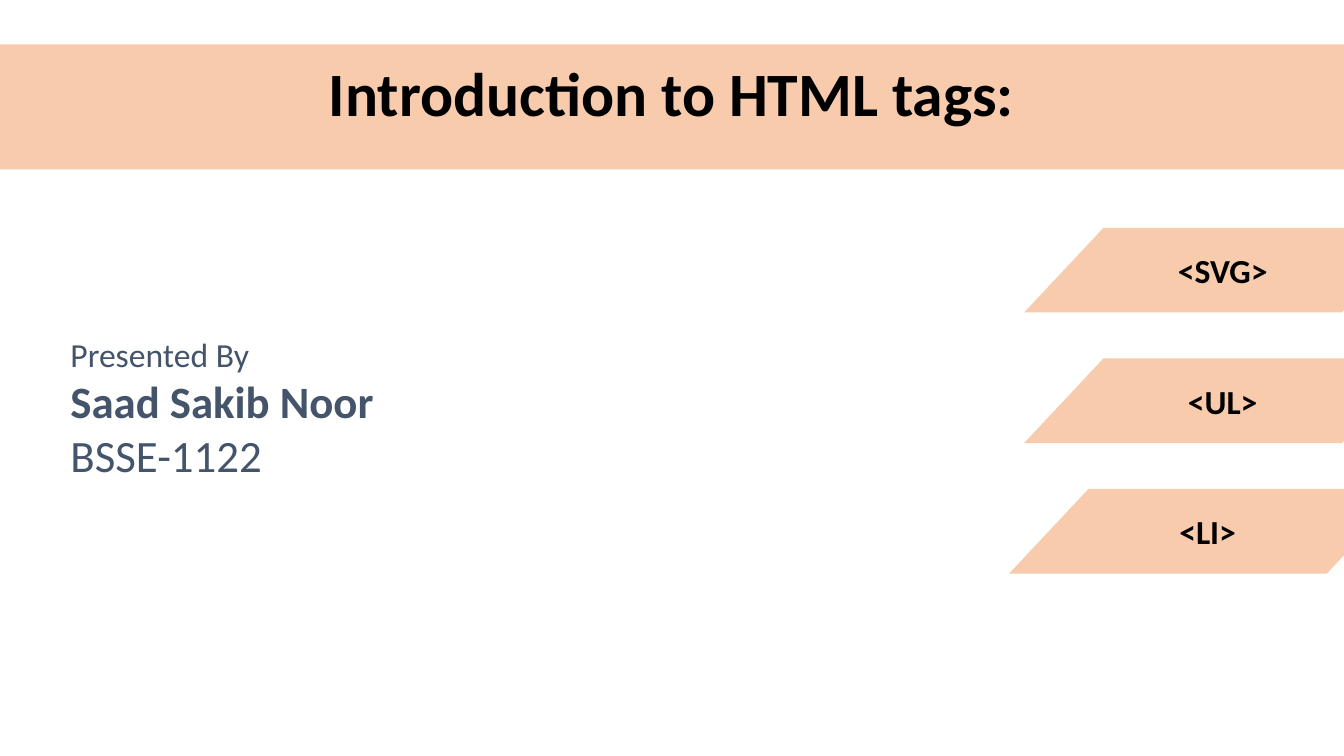
from dataclasses import dataclass

from pptx import Presentation
from pptx.dml.color import RGBColor
from pptx.enum.shapes import MSO_SHAPE
from pptx.enum.text import MSO_ANCHOR, MSO_AUTO_SIZE, PP_ALIGN
from pptx.shapes.autoshape import Shape
from pptx.slide import Slide
from pptx.util import Inches, Pt


@dataclass(frozen=True)
class Theme:
    """Colours, font and type sizes."""
    peach: RGBColor = RGBColor(0xF8, 0xCB, 0xAD)
    black: RGBColor = RGBColor(0, 0, 0)
    slate: RGBColor = RGBColor(0x44, 0x54, 0x6A)
    font: str = "Calibri"
    title: int = 44
    name: int = 32
    label: int = 24


@dataclass(frozen=True)
class Box:
    """A rectangle in percent of the slide's width and height."""
    left: float
    top: float
    width: float
    height: float

    def emu(self) -> tuple[int, int, int, int]:
        """Return left, top, width and height in EMU."""
        return (int(self.left * SLIDE_W / 100), int(self.top * SLIDE_H / 100),
                int(self.width * SLIDE_W / 100), int(self.height * SLIDE_H / 100))


@dataclass(frozen=True)
class Line:
    """One paragraph of text."""
    text: str
    size: int
    color: RGBColor
    bold: bool = False
    align: PP_ALIGN = PP_ALIGN.LEFT


@dataclass(frozen=True)
class Tag:
    """An HTML tag label and the left edge of its parallelogram."""
    text: str
    left: float


THEME = Theme()
SLIDE_W, SLIDE_H = Inches(13.33), Inches(7.5)
TAG_TOP, TAG_PITCH, TAG_W, TAG_H = 30.13, 17.27, 29.55, 11.2
TAGS = [Tag("<SVG>", 76.2), Tag("<UL>", 76.2), Tag("<LI>", 75.08)]
BAND = Box(0, 5.87, 100, 16.53)
PRESENTER_BOX = Box(4.5, 43.47, 27.67, 21.07)
PRESENTER = [
    Line("Presented By", THEME.label, THEME.slate),
    Line("Saad Sakib Noor", THEME.name, THEME.slate, bold=True),
    Line("BSSE-1122", THEME.name, THEME.slate),
]


def write_lines(s: Shape, lines: list[Line]) -> None:
    """Fill a shape with one paragraph per line."""
    tf = s.text_frame
    tf.word_wrap = True
    for i, line in enumerate(lines):
        p = tf.add_paragraph() if i else tf.paragraphs[0]
        p.text, p.alignment = line.text, line.align
        p.font.name, p.font.size, p.font.bold = THEME.font, Pt(line.size), line.bold
        p.font.color.rgb = line.color


def add_panel(slide: Slide, kind: MSO_SHAPE, box: Box, text: str, size: int) -> Shape:
    """Add a peach shape with a bold centred label."""
    s = slide.shapes.add_shape(kind, *box.emu())
    s.shadow.inherit = False
    s.fill.solid()
    s.fill.fore_color.rgb = THEME.peach
    s.line.fill.background()
    s.text_frame.vertical_anchor = MSO_ANCHOR.MIDDLE
    write_lines(s, [Line(text, size, THEME.black, True, PP_ALIGN.CENTER)])
    return s


def add_presenter(slide: Slide) -> None:
    """Add the presenter's details."""
    s = slide.shapes.add_textbox(*PRESENTER_BOX.emu())
    write_lines(s, PRESENTER)
    s.text_frame.auto_size = MSO_AUTO_SIZE.SHAPE_TO_FIT_TEXT


def main() -> None:
    """Build and save the slide."""
    prs = Presentation()
    prs.slide_width, prs.slide_height = SLIDE_W, SLIDE_H
    slide = prs.slides.add_slide(prs.slide_layouts[6])
    for row, tag in enumerate(TAGS):
        box = Box(tag.left, TAG_TOP + row * TAG_PITCH, TAG_W, TAG_H)
        add_panel(slide, MSO_SHAPE.FLOWCHART_DATA, box, tag.text, THEME.label)
    band = add_panel(slide, MSO_SHAPE.RECTANGLE, BAND,
                     "Introduction to HTML tags:", THEME.title)
    band.text_frame.margin_bottom = Inches(0.35)
    add_presenter(slide)
    prs.save("out.pptx")


main()
